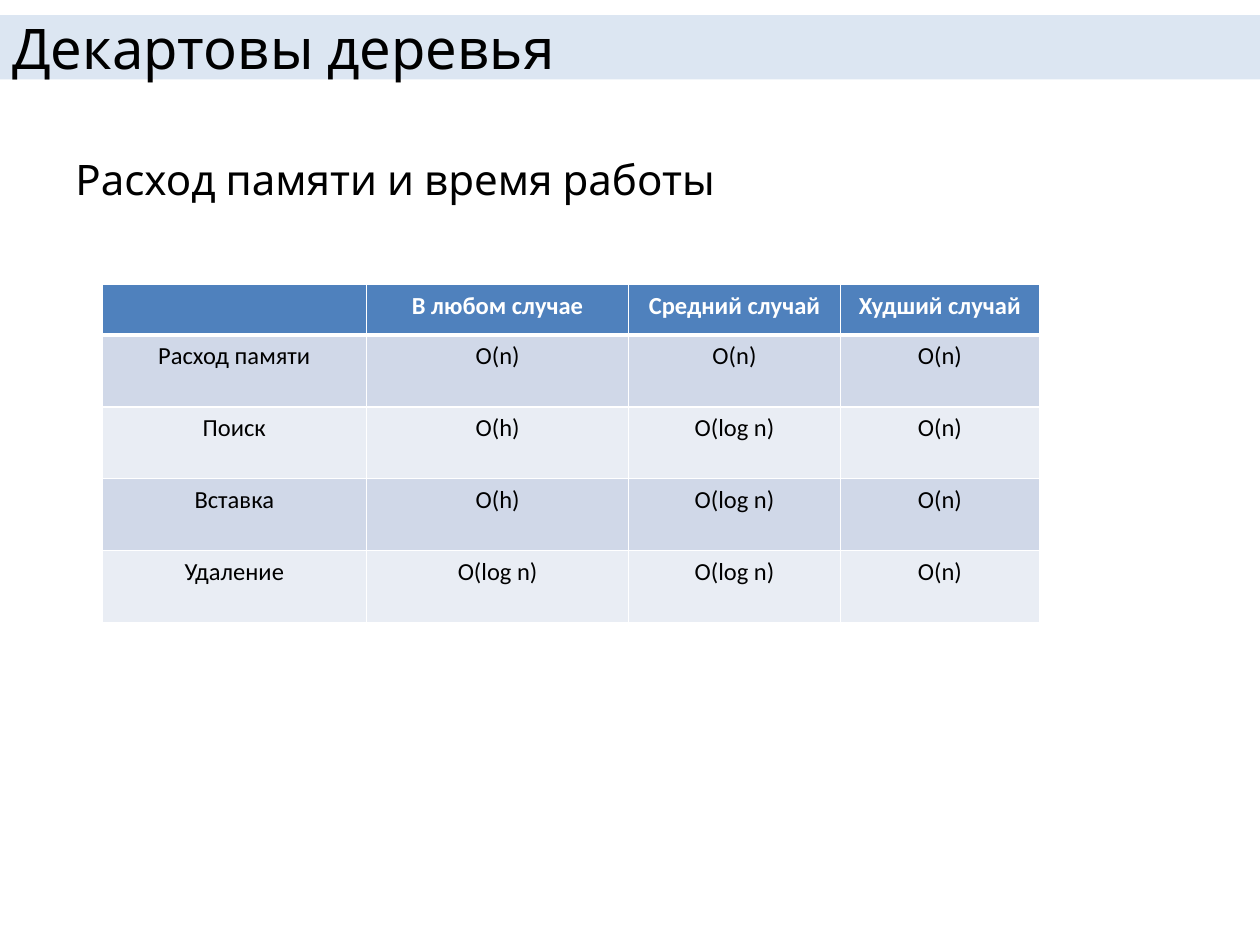
from dataclasses import dataclass

from lxml import etree
from pptx import Presentation
from pptx.dml.color import RGBColor
from pptx.enum.shapes import MSO_SHAPE
from pptx.enum.text import MSO_ANCHOR, PP_ALIGN
from pptx.oxml.ns import qn
from pptx.util import Inches, Pt

RECTANGLE = MSO_SHAPE.RECTANGLE
MIDDLE = MSO_ANCHOR.MIDDLE
LEFT, CENTER = PP_ALIGN.LEFT, PP_ALIGN.CENTER


@dataclass(frozen=True)
class Theme:
    heading_font: str = "Karla"
    table_font: str = "Calibri"
    title_size: int = 32
    body_size: int = 24
    table_size: int = 14
    text: str = "000000"
    white: str = "FFFFFF"
    title_band: str = "DCE6F2"
    header: str = "4F81BD"
    row_bands: tuple = ("D0D8E8", "E9EDF4")
    border: int = 1
    header_border: int = 3


class SlideBuilder:
    def __init__(self, slide, theme):
        self.slide = slide
        self.theme = theme

    def set_text(self, frame, text, font, size, color, alignment=LEFT, bold=False):
        paragraph = frame.paragraphs[0]
        paragraph.text = text
        paragraph.alignment = alignment
        paragraph.font.name = font
        paragraph.font.size = Pt(size)
        paragraph.font.bold = bold
        paragraph.font.color.rgb = RGBColor.from_string(color)

    def title(self, text, left, top, width, height):
        theme = self.theme
        band = self.slide.shapes.add_shape(
            RECTANGLE, Inches(left), Inches(top), Inches(width), Inches(height))
        band.shadow.inherit = False
        band.fill.solid()
        band.fill.fore_color.rgb = RGBColor.from_string(theme.title_band)
        band.line.fill.background()
        band.text_frame.vertical_anchor = MIDDLE
        self.set_text(band.text_frame, text, theme.heading_font, theme.title_size, theme.text)

    def body(self, text, left, top, width, height):
        theme = self.theme
        box = self.slide.shapes.add_textbox(
            Inches(left), Inches(top), Inches(width), Inches(height))
        box.text_frame.word_wrap = True
        self.set_text(box.text_frame, text, theme.heading_font, theme.body_size, theme.text)

    def table(self, rows, left, top, column_widths, row_heights):
        theme = self.theme
        table = self.slide.shapes.add_table(
            len(rows), len(column_widths), Inches(left), Inches(top),
            Inches(sum(column_widths)), Inches(sum(row_heights))).table
        for column, width in zip(table.columns, column_widths):
            column.width = Inches(width)
        for row, height in zip(table.rows, row_heights):
            row.height = Inches(height)
        for row_index, values in enumerate(rows):
            is_header = row_index == 0
            fill = theme.header if is_header else theme.row_bands[(row_index - 1) % 2]
            color = theme.white if is_header else theme.text
            top_border = theme.header_border if row_index == 1 else theme.border
            bottom_border = theme.header_border if is_header else theme.border
            for column_index, value in enumerate(values):
                cell = table.cell(row_index, column_index)
                self.set_text(cell.text_frame, value, theme.table_font, theme.table_size,
                              color, CENTER, is_header)
                self.borders(cell, top_border, bottom_border)
                cell.fill.solid()
                cell.fill.fore_color.rgb = RGBColor.from_string(fill)

    def borders(self, cell, top, bottom):
        side = self.theme.border
        properties = cell._tc.get_or_add_tcPr()
        for tag, width in (("a:lnL", side), ("a:lnR", side), ("a:lnT", top), ("a:lnB", bottom)):
            line = etree.SubElement(properties, qn(tag), w=str(Pt(width)))
            fill = etree.SubElement(line, qn("a:solidFill"))
            etree.SubElement(fill, qn("a:srgbClr"), val=self.theme.white)


def main():
    presentation = Presentation()
    presentation.slide_width = Inches(10)
    presentation.slide_height = Inches(7.5)
    slide = presentation.slides.add_slide(presentation.slide_layouts[6])
    builder = SlideBuilder(slide, Theme())

    builder.body("Расход памяти и время работы", 0.5, 1.17, 9, 5.53)
    builder.title("Декартовы деревья", 0, 0.12, 10.09, 0.51)
    complexities = [
        ("", "В любом случае", "Средний случай", "Худший случай"),
        ("Расход памяти", "O(n)", "O(n)", "O(n)"),
        ("Поиск", "O(h)", "O(log n)", "O(n)"),
        ("Вставка", "O(h)", "O(log n)", "O(n)"),
        ("Удаление", "O(log n)", "O(log n)", "O(n)"),
    ]
    builder.table(complexities, 0.81, 2.26, (2.1, 2.08, 1.68, 1.58), [0.4] + [0.57] * 4)

    presentation.save("out.pptx")


if __name__ == "__main__":
    main()
